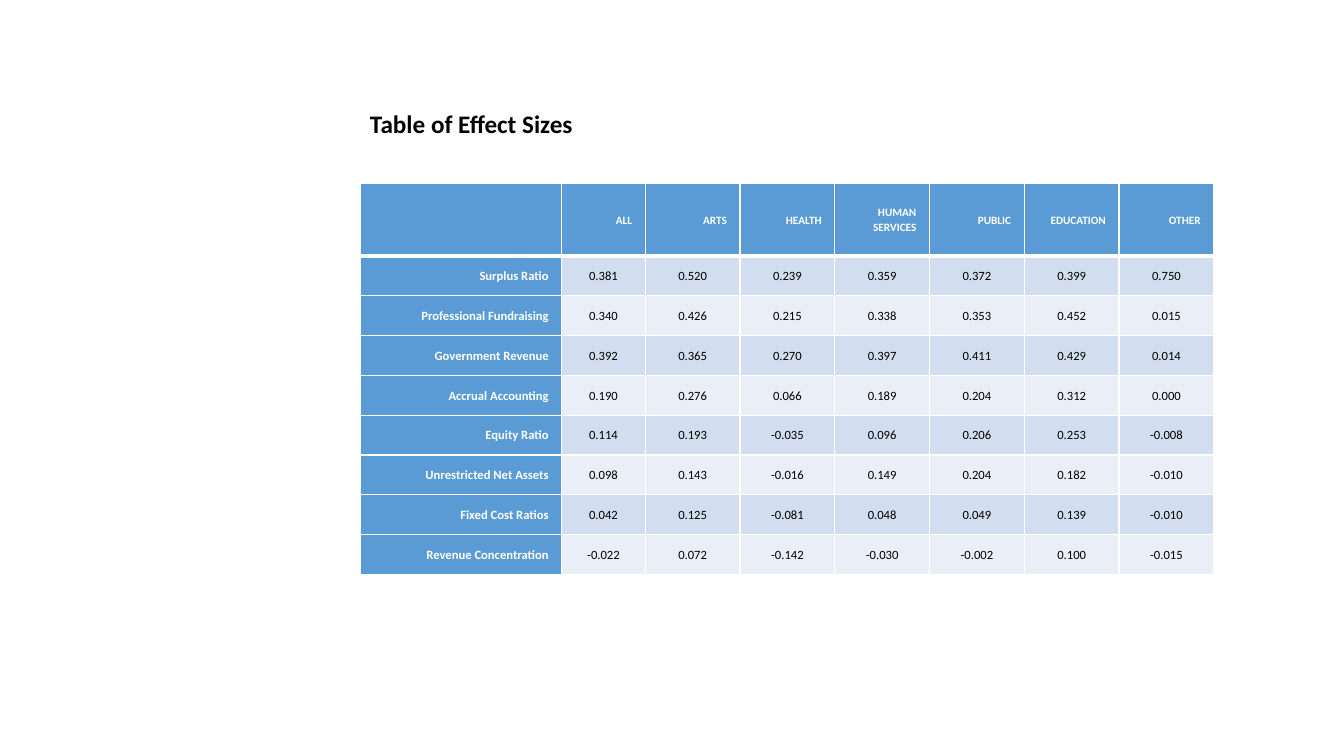
from copy import deepcopy
from dataclasses import dataclass

from lxml.etree import SubElement
from pptx import Presentation
from pptx.dml.color import RGBColor
from pptx.enum.text import MSO_ANCHOR, PP_ALIGN
from pptx.oxml.ns import qn
from pptx.slide import Slide
from pptx.table import _Cell
from pptx.text.text import TextFrame
from pptx.util import Inches, Pt


@dataclass(frozen=True)
class Theme:
    font: str = "Calibri"
    accent: str = "5B9BD5"
    bands: tuple[str, str] = ("D2DEEF", "EAEFF7")
    light: str = "FFFFFF"
    dark: str = "000000"
    title_size: int = 18
    header_size: int = 8
    body_size: int = 9
    rule: int = 1
    header_rule: int = 3


@dataclass(frozen=True)
class Grid:
    left: float = 3.57
    top: float = 1.82
    height: float = 3.88
    header_height: float = 0.72
    columns: tuple[float, ...] = (2, 0.83) + (0.94,) * 6

    @property
    def width(self) -> float:
        return sum(self.columns)

    def row_height(self, count: int) -> float:
        return (self.height - self.header_height) / count


@dataclass(frozen=True)
class Measure:
    label: str
    effects: str


THEME = Theme()
GRID = Grid()
SECTORS = ("", "ALL", "ARTS", "HEALTH", "HUMAN\nSERVICES", "PUBLIC", "EDUCATION", "OTHER")
MEASURES = (
    Measure("Surplus Ratio", "0.381 0.520 0.239 0.359 0.372 0.399 0.750"),
    Measure("Professional Fundraising", "0.340 0.426 0.215 0.338 0.353 0.452 0.015"),
    Measure("Government Revenue", "0.392 0.365 0.270 0.397 0.411 0.429 0.014"),
    Measure("Accrual Accounting", "0.190 0.276 0.066 0.189 0.204 0.312 0.000"),
    Measure("Equity Ratio", "0.114 0.193 -0.035 0.096 0.206 0.253 -0.008"),
    Measure("Unrestricted Net Assets", "0.098 0.143 -0.016 0.149 0.204 0.182 -0.010"),
    Measure("Fixed Cost Ratios", "0.042 0.125 -0.081 0.048 0.049 0.139 -0.010"),
    Measure("Revenue Concentration", "-0.022 0.072 -0.142 -0.030 -0.002 0.100 -0.015"),
)


def write(frame: TextFrame, text: str, *, size: int, color: str, bold: bool = False,
          align: PP_ALIGN = PP_ALIGN.LEFT, indent: float = 0,
          spacing: float = 1, after: int = 0) -> None:
    paragraph = frame.paragraphs[0]
    paragraph.text = text
    paragraph.alignment = align
    paragraph.line_spacing = spacing
    paragraph.space_after = Pt(after)
    properties = paragraph._p.get_or_add_pPr()
    for side in ("marL", "marR"):
        properties.set(side, str(Inches(indent)))
    for run in paragraph.runs:
        run.font.name = THEME.font
        run.font.size = Pt(size)
        run.font.bold = bold
        run.font.color.rgb = RGBColor.from_string(color)
    # Line breaks take the format of the text around them
    for line_break in paragraph._p.findall(qn("a:br")):
        line_break.append(deepcopy(paragraph.runs[0]._r.rPr))


def style_cell(cell: _Cell, fill: str, top: int, bottom: int) -> None:
    borders = {"lnL": THEME.rule, "lnR": THEME.rule, "lnT": top, "lnB": bottom}
    for edge, width in borders.items():
        line = SubElement(cell._tc.get_or_add_tcPr(), qn(f"a:{edge}"), w=str(Pt(width)))
        SubElement(SubElement(line, qn("a:solidFill")), qn("a:srgbClr"), val=THEME.light)
    cell.fill.solid()
    cell.fill.fore_color.rgb = RGBColor.from_string(fill)
    cell.vertical_anchor = MSO_ANCHOR.MIDDLE
    cell.margin_left = cell.margin_right = Inches(0.07)
    cell.margin_top = cell.margin_bottom = 0


def add_title(slide: Slide, text: str) -> None:
    title = slide.shapes.add_textbox(Inches(GRID.left - 0.2), Inches(0.78),
                                     Inches(GRID.width + 0.2), Inches(1.29)).text_frame
    title.word_wrap = True
    title.vertical_anchor = MSO_ANCHOR.TOP
    title.margin_left, title.margin_top = Inches(0.3), Inches(0.29)
    write(title, text, size=THEME.title_size, color=THEME.dark, bold=True)


def add_effects(slide: Slide) -> None:
    rows = [SECTORS] + [(m.label, *m.effects.split()) for m in MEASURES]
    table = slide.shapes.add_table(len(rows), len(SECTORS), Inches(GRID.left), Inches(GRID.top),
                                   Inches(GRID.width), Inches(GRID.height)).table
    for column, width in zip(table.columns, GRID.columns):
        column.width = Inches(width)
    for r, row in enumerate(rows):
        header = r == 0
        table.rows[r].height = Inches(
            GRID.header_height if header else GRID.row_height(len(MEASURES)))
        for c, text in enumerate(row):
            heading = header or c == 0
            cell = table.cell(r, c)
            style_cell(cell, THEME.accent if heading else THEME.bands[(r - 1) % 2],
                       top=THEME.header_rule if r == 1 else THEME.rule,
                       bottom=THEME.header_rule if header else THEME.rule)
            write(cell.text_frame, text, bold=heading, indent=0.06, spacing=1.07, after=1,
                  size=THEME.header_size if header else THEME.body_size,
                  color=THEME.light if heading else THEME.dark,
                  align=PP_ALIGN.RIGHT if heading else PP_ALIGN.CENTER)


def main() -> None:
    deck = Presentation()
    deck.slide_width, deck.slide_height = Inches(13.33), Inches(7.5)
    slide = deck.slides.add_slide(deck.slide_layouts[6])
    # Effect sizes by sector, then the title
    add_effects(slide)
    add_title(slide, "Table of Effect Sizes")
    deck.save("out.pptx")


if __name__ == "__main__":
    main()
